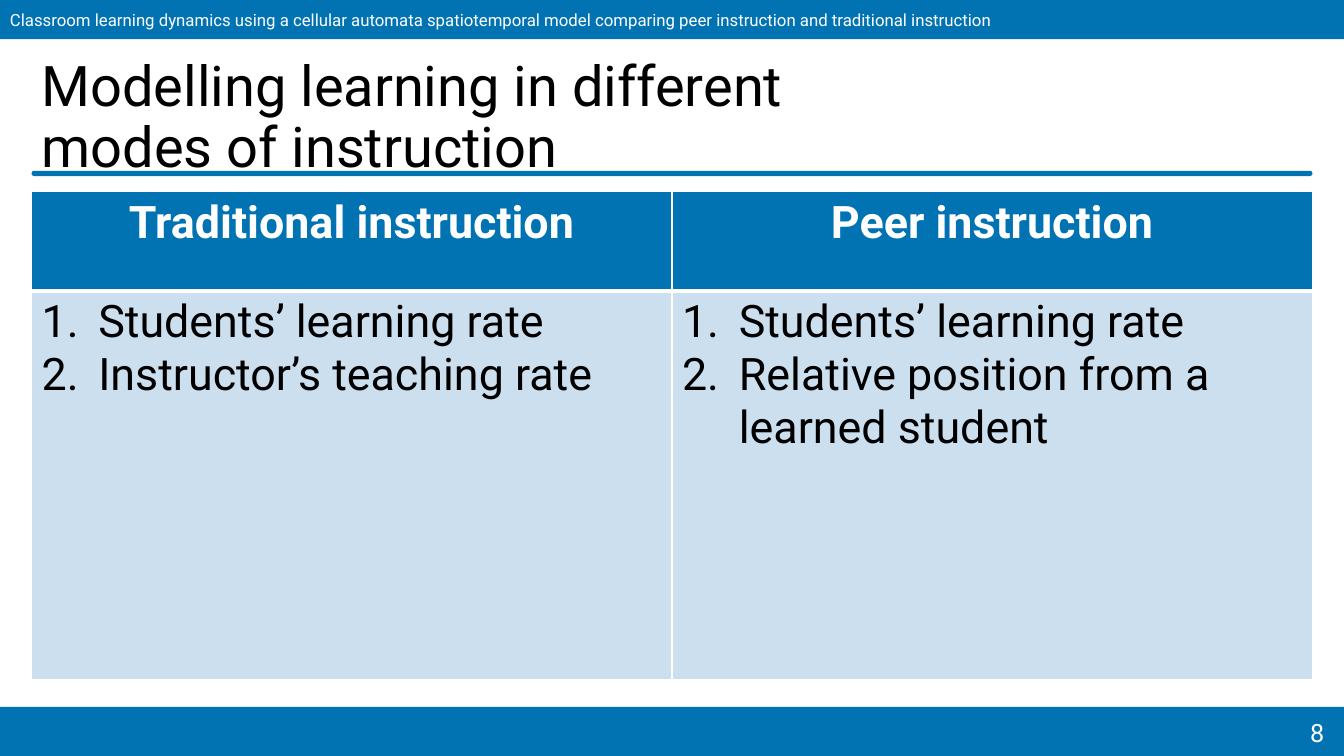
from pptx import Presentation
from pptx.dml.color import RGBColor
from pptx.enum.shapes import MSO_SHAPE as Shape
from pptx.enum.text import MSO_ANCHOR as Anchor, MSO_AUTO_SIZE as AutoSize, PP_ALIGN as Align
from pptx.oxml.ns import qn
from pptx.util import Pt
from lxml.etree import SubElement

BLUE = RGBColor(0x01, 0x73, 0xB2)
PALE_BLUE = RGBColor(0xCC, 0xDF, 0xEF)
WHITE = RGBColor(0xFF, 0xFF, 0xFF)
BLACK = RGBColor(0x00, 0x00, 0x00)
FONT = "Roboto"
WIDTH, HEIGHT = 960, 540
MARGIN = 22.5
CONTENT_WIDTH = WIDTH - 2 * MARGIN

MODES = {
    "Traditional instruction": ["Students’ learning rate", "Instructor’s teaching rate"],
    "Peer instruction": ["Students’ learning rate", "Relative position from a learned student"],
}


def write_text(frame, *lines, size, color=BLACK, bold=False, align=Align.LEFT,
               anchor=Anchor.TOP, spacing=None, numbered=False):
    """Fill a text frame with one formatted paragraph per line."""
    frame.word_wrap = True
    frame.vertical_anchor = anchor
    for index, line in enumerate(lines):
        paragraph = frame.add_paragraph() if index else frame.paragraphs[0]
        paragraph.text = line
        paragraph.alignment = align
        if spacing:
            paragraph.line_spacing = spacing
        for run in paragraph.runs:
            run.font.name = FONT
            run.font.size = Pt(size)
            run.font.bold = bold
            run.font.color.rgb = color
        if numbered:
            number_paragraph(paragraph, 40.5)


def number_paragraph(paragraph, indent):
    """Give a paragraph an automatic number with a hanging indent."""
    properties = paragraph._p.get_or_add_pPr()
    properties.set("marL", str(Pt(indent)))
    properties.set("indent", str(-Pt(indent)))
    SubElement(properties, qn("a:buFont"), typeface="+mj-lt")
    SubElement(properties, qn("a:buAutoNum"), type="arabicPeriod")


def add_bar(slide, left, top, width, height, kind=Shape.RECTANGLE):
    """Draw a plain blue bar."""
    bar = slide.shapes.add_shape(kind, Pt(left), Pt(top), Pt(width), Pt(height))
    bar.shadow.inherit = False
    bar.fill.solid()
    bar.fill.fore_color.rgb = BLUE
    bar.line.fill.background()
    return bar


def add_header(slide, left, top, width, height, text):
    """Draw the top band with the talk's name."""
    band = add_bar(slide, left, top, width, height)
    write_text(band.text_frame, text, size=12, color=WHITE, anchor=Anchor.MIDDLE)


def add_footer(slide, left, top, width, height, number):
    """Draw the bottom band with the slide number at its right end."""
    add_bar(slide, left, top, width, height)
    box = slide.shapes.add_textbox(Pt(left + width - 65.5), Pt(top + 3.5), Pt(58.5), Pt(28))
    write_text(box.text_frame, number, size=18, color=WHITE, align=Align.RIGHT)


def add_title(slide, left, top, width, height, text):
    """Place the title and the rounded rule below it."""
    title = slide.shapes.title
    title.left, title.top = Pt(left), Pt(top)
    title.width, title.height = Pt(786), Pt(height)
    title.text_frame.auto_size = AutoSize.NONE
    write_text(title.text_frame, text, size=40, anchor=Anchor.MIDDLE, spacing=0.9)
    rule = add_bar(slide, left, top + height + 6.5, width, 3.75, Shape.ROUNDED_RECTANGLE)
    rule.adjustments[0] = 0.5


def format_cell(cell, fill, **borders):
    """Give a cell its fill and white borders of the given widths."""
    properties = cell._tc.get_or_add_tcPr()
    for side in "LRTB":
        line = SubElement(properties, qn(f"a:ln{side}"), w=str(Pt(borders.get(side, 1))))
        color = SubElement(SubElement(line, qn("a:solidFill")), qn("a:srgbClr"))
        color.set("val", str(WHITE))
    cell.fill.solid()
    cell.fill.fore_color.rgb = fill


def add_comparison(slide, left, top, width, height, modes):
    """Build the table with one column for each mode of instruction."""
    header_height = 71
    table = slide.shapes.add_table(2, len(modes), Pt(left), Pt(top), Pt(width), Pt(height)).table
    table.rows[0].height = Pt(header_height)
    table.rows[1].height = Pt(height - header_height)
    for column, (mode, factors) in enumerate(modes.items()):
        table.columns[column].width = Pt(width / len(modes))
        heading, body = table.cell(0, column), table.cell(1, column)
        format_cell(heading, BLUE, B=3)
        format_cell(body, PALE_BLUE, T=3)
        write_text(heading.text_frame, mode, size=32, color=WHITE, bold=True, align=Align.CENTER)
        write_text(body.text_frame, *factors, size=32, numbered=True)


def main():
    """Build and save the slide."""
    presentation = Presentation()
    presentation.slide_width, presentation.slide_height = Pt(WIDTH), Pt(HEIGHT)
    slide = presentation.slides.add_slide(presentation.slide_layouts[5])
    add_header(slide, 0, 0, WIDTH, 28,
               "Classroom learning dynamics using a cellular automata spatiotemporal model "
               "comparing peer instruction and traditional instruction")
    add_title(slide, MARGIN, 54.5, CONTENT_WIDTH, 61,
              "Modelling learning in different \vmodes of instruction")
    add_comparison(slide, MARGIN, 137, CONTENT_WIDTH, 348.5, MODES)
    add_footer(slide, 0, 505, WIDTH, 35, "8")
    presentation.save("out.pptx")


if __name__ == "__main__":
    main()
